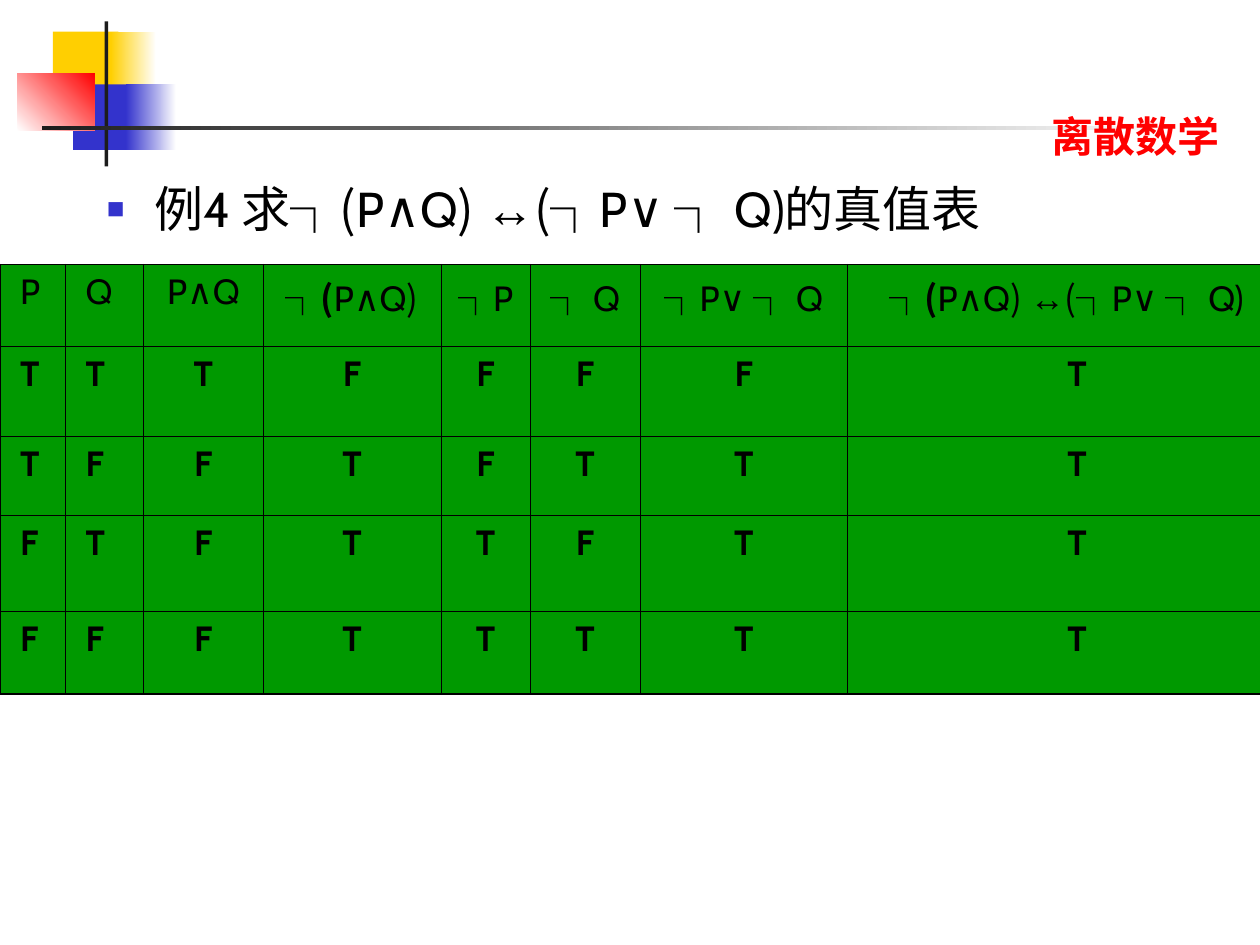
import itertools

import lxml.etree
import pptx
import pptx.dml.color
import pptx.enum.shapes
import pptx.enum.text
import pptx.oxml.ns
import pptx.util

Inches = pptx.util.Inches
Pt = pptx.util.Pt
qn = pptx.oxml.ns.qn
CENTER = pptx.enum.text.PP_ALIGN.CENTER
LEFT = pptx.enum.text.PP_ALIGN.LEFT

LATIN, CJK, SYMBOL = "Cabin", "Noto Sans CJK SC", "Arial"
BLACK, INK, WHITE, RED, BLUE, YELLOW, GREEN = (
    "000000", "1C1C1C", "FFFFFF", "FF0000", "3333CC", "FFCF01", "009900")
COLUMN_WIDTHS = [0.52, 0.62, 0.95, 1.41, 0.71, 0.87, 1.65, 3.47]
ROW_HEIGHTS = [0.65, 0.71, 0.63, 0.76, 0.66]
NOT = ("┐", CJK, True)
HEADERS = [
    [("P", LATIN, False)],
    [("Q", LATIN, False)],
    [("P∧Q", LATIN, False)],
    [("┐(", CJK, True), ("P∧Q", LATIN, False), (")", CJK, False)],
    [NOT, ("P", LATIN, False)],
    [NOT, (" Q", LATIN, False)],
    [NOT, ("P∨ ", LATIN, False), NOT, (" Q", LATIN, False)],
    [("┐(", CJK, True), ("P∧Q", LATIN, False), (") ", CJK, False),
     ("↔", SYMBOL, False), ("(", CJK, False), NOT,
     ("P∨ ", LATIN, False), NOT, (" Q)", LATIN, False)],
]
HEADING = [
    ("例4 求", LATIN, False), ("┐(", CJK, False), ("P∧Q", LATIN, False),
    (") ", CJK, False), ("↔", SYMBOL, False), ("(┐", CJK, False),
    ("P∨ ", LATIN, False), ("┐", CJK, False), (" Q)的真值表", LATIN, False),
]


def rgb(value):
    """Turn a hex string into a colour."""
    return pptx.dml.color.RGBColor.from_string(value)


def add_runs(paragraph, runs, size, color):
    """Add (text, font, bold) runs to a paragraph."""
    for text, font, bold in runs:
        run = paragraph.add_run()
        run.text = text
        run.font.size = Pt(size)
        run.font.bold = bold
        run.font.name = font
        run.font.color.rgb = rgb(color)
        east_asian = lxml.etree.Element(qn("a:ea"), typeface=CJK)
        run.font._element.find(qn("a:latin")).addnext(east_asian)


def add_block(slide, left, top, width, height, colors, angle=0):
    """Add a borderless rectangle with one colour or a two-colour gradient."""
    shape = slide.shapes.add_shape(
        pptx.enum.shapes.MSO_SHAPE.RECTANGLE,
        Inches(left), Inches(top), Inches(width), Inches(height))
    shape.shadow.inherit = False
    shape.line.fill.background()
    if len(colors) == 1:
        shape.fill.solid()
        shape.fill.fore_color.rgb = rgb(colors[0])
        return
    shape.fill.gradient()
    shape.fill.gradient_angle = angle
    for stop, color, position in zip(shape.fill.gradient_stops, colors, (0, 1)):
        stop.color.rgb = rgb(color)
        stop.position = position


def add_ornament(slide, left, top):
    """Place the overlapping squares and the crossing bars."""
    blocks = [
        (0.28, 0.08, 0.52, 0.52, [YELLOW]),
        (0.74, 0.08, 0.36, 0.52, [YELLOW, WHITE]),
        (0.44, 0.5, 0.46, 0.52, [BLUE]),
        (0.86, 0.5, 0.4, 0.52, [BLUE, WHITE]),
        (0, 0.41, 0.61, 0.46, [WHITE, RED], 45),
        (0.69, 0, 0.03, 1.15, [INK]),
        (0.19, 0.83, 9, 0.03, [INK, WHITE]),
    ]
    for x, y, *rest in blocks:
        add_block(slide, left + x, top + y, *rest)


def add_course_name(slide, left, top, width, height):
    """Place the course name at the right of the bar."""
    shape = slide.shapes.add_textbox(
        Inches(left), Inches(top), Inches(width), Inches(height))
    frame = shape.text_frame
    frame.word_wrap = True
    frame.auto_size = pptx.enum.text.MSO_AUTO_SIZE.SHAPE_TO_FIT_TEXT
    frame.vertical_anchor = pptx.enum.text.MSO_ANCHOR.MIDDLE
    add_runs(frame.paragraphs[0], [("离散数学", LATIN, True)], 24, RED)


def add_heading(slide, left, top, width, height):
    """Place the bulleted statement of the example."""
    shape = slide.shapes.add_textbox(
        Inches(left), Inches(top), Inches(width), Inches(height))
    frame = shape.text_frame
    frame.word_wrap = True
    frame.margin_top = 0
    paragraph = frame.paragraphs[0]
    properties = paragraph._p.get_or_add_pPr()
    properties.set("marL", str(Inches(0.38)))
    properties.set("indent", str(-Inches(0.38)))
    bullet_color = lxml.etree.SubElement(properties, qn("a:buClr"))
    lxml.etree.SubElement(bullet_color, qn("a:srgbClr"), val=BLUE)
    lxml.etree.SubElement(properties, qn("a:buSzPct"), val="60000")
    lxml.etree.SubElement(properties, qn("a:buFont"), typeface=SYMBOL)
    lxml.etree.SubElement(properties, qn("a:buChar"), char="■")
    add_runs(paragraph, HEADING, 28, BLACK)


def set_borders(cell, widths):
    """Draw the left, right, top and bottom borders of a cell."""
    properties = cell._tc.get_or_add_tcPr()
    for side, width in zip("LRTB", widths):
        line = lxml.etree.SubElement(
            properties, qn("a:ln" + side), w=str(Pt(width)))
        fill = lxml.etree.SubElement(line, qn("a:solidFill"))
        lxml.etree.SubElement(fill, qn("a:srgbClr"), val=BLACK)


def truth_rows():
    """Work out the cells of every row below the header."""
    for p, q in itertools.product([True, False], repeat=2):
        negated, either = not (p and q), not p or not q
        values = [p, q, p and q, negated, not p, not q, either, negated == either]
        yield [[("T" if value else "F", LATIN, True)] for value in values]


def add_truth_table(slide, left, top):
    """Place the truth table with a heavier outer border."""
    rows = [HEADERS, *truth_rows()]
    last_row, last_column = len(rows) - 1, len(HEADERS) - 1
    table = slide.shapes.add_table(
        len(rows), len(HEADERS), Inches(left), Inches(top),
        Inches(sum(COLUMN_WIDTHS)), Inches(sum(ROW_HEIGHTS))).table
    table.first_row = table.horz_banding = False
    for column, width in zip(table.columns, COLUMN_WIDTHS):
        column.width = Inches(width)
    for row, height in zip(table.rows, ROW_HEIGHTS):
        row.height = Inches(height)
    for r, row in enumerate(rows):
        for c, runs in enumerate(row):
            cell = table.cell(r, c)
            edges = [c == 0, c == last_column, r == 0, r == last_row]
            set_borders(cell, [1.08 if edge else 0.45 for edge in edges])
            cell.fill.solid()
            cell.fill.fore_color.rgb = rgb(GREEN)
            if c < 2:
                cell.margin_left = Inches(0.16)
            elif r > 0 and c == last_column:
                cell.margin_left = Inches(0.27)
            paragraph = cell.text_frame.paragraphs[0]
            paragraph.alignment = LEFT if c < 2 else CENTER
            add_runs(paragraph, runs, 20, BLACK)


def main():
    """Build the slide and save it."""
    presentation = pptx.Presentation()
    presentation.slide_width = Inches(10)
    presentation.slide_height = Inches(7.5)
    slide = presentation.slides.add_slide(presentation.slide_layouts[6])
    add_ornament(slide, 0.14, 0.17)
    add_course_name(slide, 8.25, 0.83, 2.92, 0.5)
    add_heading(slide, 0.75, 1.42, 8.9, 4.5)
    add_truth_table(slide, 0, 2.1)
    presentation.save("out.pptx")


if __name__ == "__main__":
    main()
